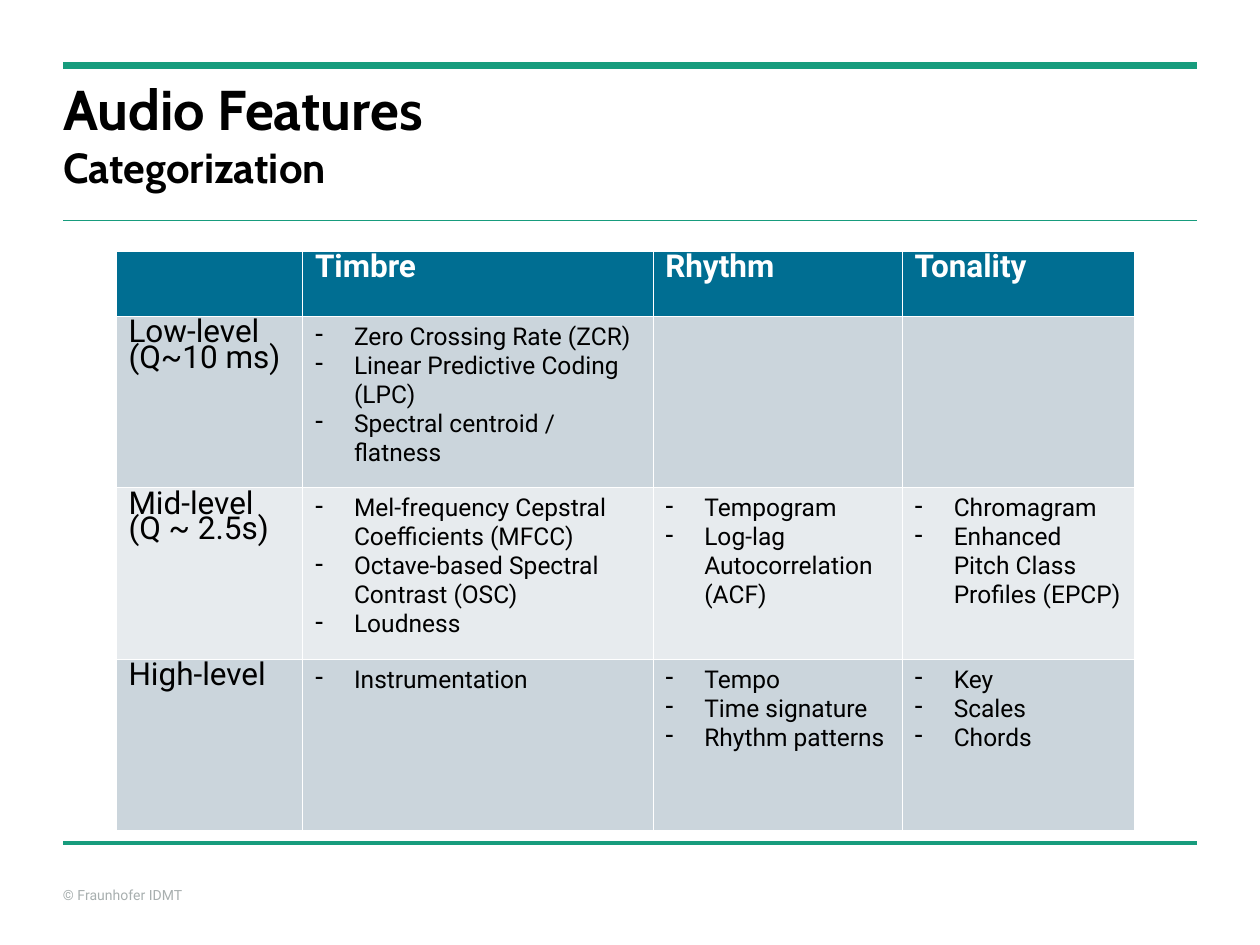
from lxml import etree
from pptx import Presentation
from pptx.dml.color import RGBColor
from pptx.enum.shapes import MSO_CONNECTOR
from pptx.enum.text import MSO_ANCHOR, PP_ALIGN
from pptx.oxml.ns import qn
from pptx.util import Inches, Pt

STRAIGHT = MSO_CONNECTOR.STRAIGHT
TOP = MSO_ANCHOR.TOP
LEFT = PP_ALIGN.LEFT
TITLE_ONLY = 5

WIDTH, HEIGHT, MARGIN = 10, 7.5, 0.5
GREEN, BLUE, WHITE, BLACK, GREY = "179C7D", "006E92", "FFFFFF", "000000", "A8AFAF"
BANDS = ["CBD5DC", "E7EBEE"]
RULES = [(0.52, 4), (1.75, 1), (6.69, 2.5)]
COLUMN_WIDTHS = [1.48, 2.78, 1.98, 1.84]
HEADER_HEIGHT, BODY_HEIGHT = 0.52, 1.36
HANGING = 0.31

LABEL = {"size": Pt(18), "name": "Roboto", "bold": False}
HEADING = {**LABEL, "bold": True}
ITEM = {**LABEL, "size": Pt(14)}
FOOTER = {**LABEL, "size": Pt(8)}
TITLE = {"size": Pt(32), "name": "Cabin", "bold": True}
SUBTITLE = {**TITLE, "size": Pt(24)}

HEADINGS = ["", "Timbre", "Rhythm", "Tonality"]
LEVELS = [
    (["Low-level", "(Q~10 ms)"],
     ["Zero Crossing Rate (ZCR)", "Linear Predictive Coding (LPC)",
      "Spectral centroid / flatness"], [], []),
    (["Mid-level", "(Q ~ 2.5s)"],
     ["Mel-frequency Cepstral Coefficients (MFCC)",
      "Octave-based Spectral Contrast (OSC)", "Loudness"],
     ["Tempogram", "Log-lag Autocorrelation (ACF)"],
     ["Chromagram", "Enhanced Pitch Class Profiles (EPCP)"]),
    (["High-level"], ["Instrumentation"],
     ["Tempo", "Time signature", "Rhythm patterns"],
     ["Key", "Scales", "Chords"]),
]


def rgb(value):
    """Turn a hex string into a colour."""
    return RGBColor.from_string(value)


def write_para(para, text, style, color, spacing=1.0):
    """Write one left-aligned paragraph in the given style."""
    para.alignment, para.line_spacing = LEFT, spacing
    span = para.add_run()
    span.text = text
    for name, value in style.items():
        setattr(span.font, name, value)
    span.font.color.rgb = rgb(color)


def next_para(frame, index):
    """Return the first paragraph of a frame, or add one."""
    return frame.paragraphs[0] if index == 0 else frame.add_paragraph()


def clear_frame(frame):
    """Give a text frame no insets, top anchoring and wrapping."""
    frame.word_wrap, frame.vertical_anchor = True, TOP
    for side in ("left", "top", "right", "bottom"):
        setattr(frame, f"margin_{side}", 0)


def place(shape, *lengths):
    """Set left, top, width and height of a shape in inches."""
    for name, length in zip(("left", "top", "width", "height"), lengths):
        setattr(shape, name, Inches(length))


def add_rule(page, top, weight):
    """Draw a green line between the margins."""
    rule = page.shapes.add_connector(
        STRAIGHT, Inches(MARGIN), Inches(top), Inches(WIDTH - MARGIN), Inches(top))
    rule.line.color.rgb = rgb(GREEN)
    rule.line.width = Pt(weight)
    etree.SubElement(rule._element.spPr, qn("a:effectLst"))


def add_dash(para):
    """Give a paragraph a dash bullet with a hanging indent."""
    props = para._p.get_or_add_pPr()
    props.set("marL", str(Inches(HANGING)))
    props.set("indent", str(-Inches(HANGING)))
    color = etree.SubElement(props, qn("a:buClr"))
    etree.SubElement(color, qn("a:srgbClr"), val=BLACK)
    etree.SubElement(props, qn("a:buChar"), char="-")


def paint_cell(cell, color, top=0.11, bottom=0.11):
    """Fill a cell and give it thin white borders."""
    cell.fill.solid()
    cell.fill.fore_color.rgb = rgb(color)
    props = cell._tc.get_or_add_tcPr()
    weights = {"L": 0.11, "R": 0.11, "T": top, "B": bottom}
    for index, (side, weight) in enumerate(weights.items()):
        border = etree.Element(qn(f"a:ln{side}"), w=str(Pt(weight)))
        fill = etree.SubElement(border, qn("a:solidFill"))
        etree.SubElement(fill, qn("a:srgbClr"), val=WHITE)
        props.insert(index, border)


def fill_cell(cell, lines, style, color=BLACK, dashed=False):
    """Write tight label lines or dashed items into a cell."""
    for index, line in enumerate(lines):
        para = next_para(cell.text_frame, index)
        write_para(para, line, style, color, 1.0 if dashed else 0.69)
        if dashed:
            add_dash(para)


def add_feature_table(page):
    """Build the table of features by level and category."""
    rows, cols = len(LEVELS) + 1, len(HEADINGS)
    height = HEADER_HEIGHT + BODY_HEIGHT * len(LEVELS)
    table = page.shapes.add_table(
        rows, cols, Inches(0.92), Inches(1.99),
        Inches(sum(COLUMN_WIDTHS)), Inches(height)).table
    table.first_row = table.horz_banding = False
    for column, width in zip(table.columns, COLUMN_WIDTHS):
        column.width = Inches(width)
    for index, row in enumerate(table.rows):
        row.height = Inches(BODY_HEIGHT if index else HEADER_HEIGHT)
    for col, heading in enumerate(HEADINGS):
        cell = table.cell(0, col)
        paint_cell(cell, BLUE, bottom=0.34)
        fill_cell(cell, [heading] if heading else [], HEADING, WHITE)
    for row, level in enumerate(LEVELS, 1):
        for col, lines in enumerate(level):
            cell = table.cell(row, col)
            paint_cell(cell, BANDS[(row - 1) % 2], top=0.34 if row == 1 else 0.11)
            fill_cell(cell, lines, ITEM if col else LABEL, dashed=col > 0)


def add_title(page):
    """Write the title and subtitle into the title placeholder."""
    title = page.shapes.title
    place(title, MARGIN, 0.59, WIDTH - 2 * MARGIN, 1)
    clear_frame(title.text_frame)
    lines = [("Audio Features", TITLE), ("Categorization", SUBTITLE)]
    for index, (text, style) in enumerate(lines):
        write_para(next_para(title.text_frame, index), text, style, BLACK)


def add_footer(page):
    """Write the copyright line at the bottom left."""
    box = page.shapes.add_textbox(0, 0, 0, 0)
    place(box, MARGIN, 7.04, 1.97, 0.13)
    clear_frame(box.text_frame)
    write_para(box.text_frame.paragraphs[0], "© Fraunhofer IDMT", FOOTER, GREY)


def main():
    """Build and save the slide."""
    deck = Presentation()
    deck.slide_width, deck.slide_height = Inches(WIDTH), Inches(HEIGHT)
    page = deck.slides.add_slide(deck.slide_layouts[TITLE_ONLY])
    for top, weight in RULES:
        add_rule(page, top, weight)
    add_footer(page)
    add_feature_table(page)
    add_title(page)
    deck.save("out.pptx")


if __name__ == "__main__":
    main()
